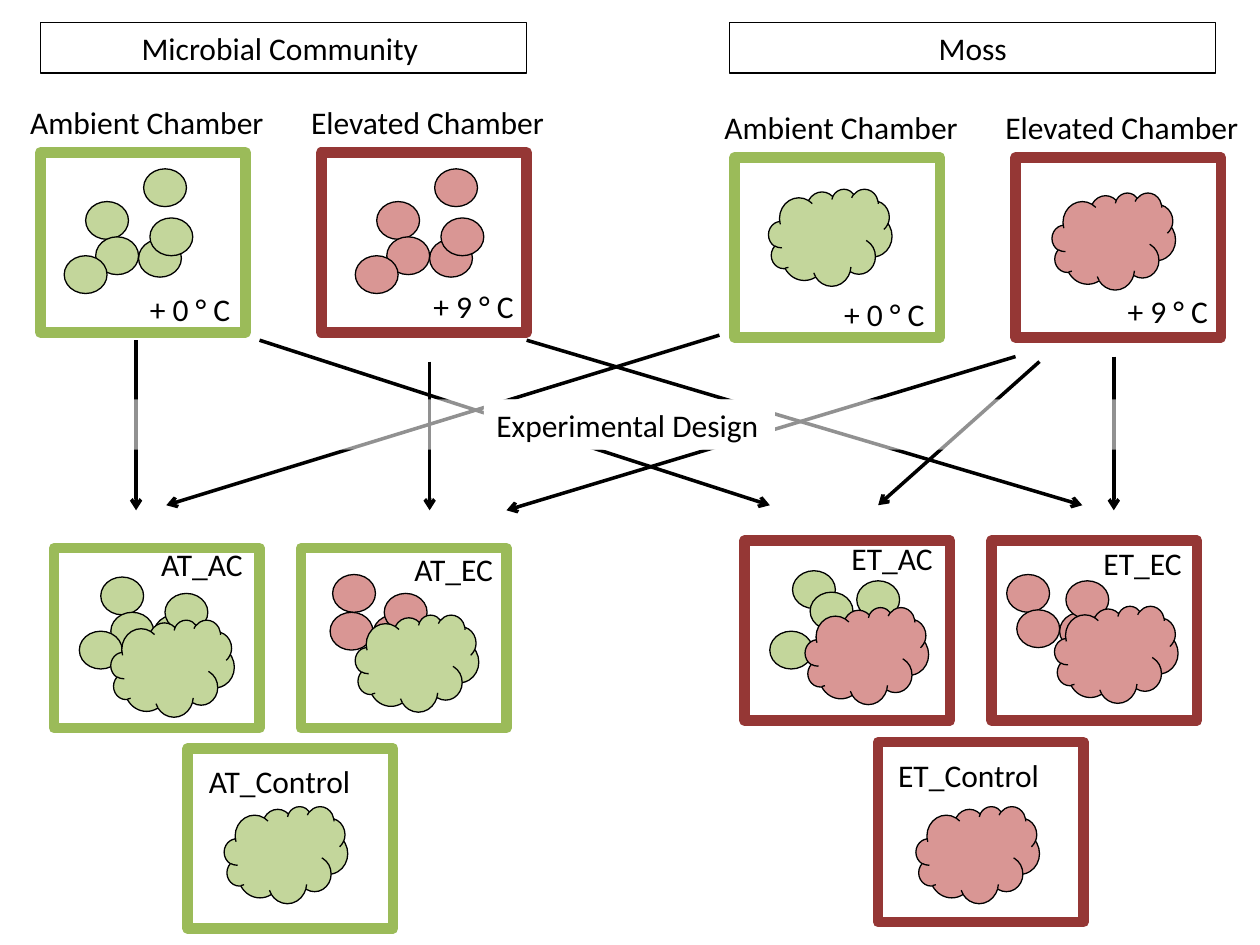
"""Build a slide on the moss and microbe transplant design."""
from lxml import etree
from pptx import Presentation
from pptx import util as u
from pptx.dml import color
from pptx.enum import shapes, text
from pptx.oxml import ns

HUES = {"green": "9BBB59", "red": "953735", "lime": "C3D69B",
        "rose": "D99694", "black": "000000", "white": "FFFFFF"}
KIND = shapes.MSO_SHAPE


def draw(kind, x, y, w, h, fill=None, line=None, width=0.75):
    item = board.add_shape(kind, *map(u.Inches, (x, y, w, h)))
    item.shadow.inherit = False
    for part, hue in ((item.fill, fill), (item.line.fill, line)):
        if hue:
            part.solid()
            part.fore_color.rgb = color.RGBColor.from_string(HUES[hue])
        else:
            part.background()
    if line:
        item.line.width = u.Pt(width)
    return item


def write(words, x, y, w, item=None):
    box = item or board.add_textbox(*map(u.Inches, (x, y, w, 0.4)))
    frame = box.text_frame
    frame.word_wrap = item is not None
    frame.auto_size = text.MSO_AUTO_SIZE.SHAPE_TO_FIT_TEXT
    frame.text = words
    para = frame.paragraphs[0]
    para.alignment = text.PP_ALIGN.CENTER if item else text.PP_ALIGN.LEFT
    para.font.size = u.Pt(18)
    para.font.name = "Calibri"
    para.font.color.rgb = color.RGBColor.from_string(HUES["black"])
    return box


deck = Presentation()
deck.slide_width, deck.slide_height = u.Inches(10), u.Inches(7.5)
board = deck.slides.add_slide(deck.slide_layouts[6]).shapes

for title, x in (("Microbial Community ", 0.32), ("Moss", 5.79)):
    write(title, x, 0.18, 3.86, draw(KIND.RECTANGLE, x, 0.18, 3.86, 0.4, line="black"))

for left, top in ((0.32, 1.21), (5.83, 1.25)):
    for name, heat, hue, x, dx, dy in (
            ("Ambient Chamber", "+ 0 ° C", "green", left, 0.77, 1.04),
            ("Elevated Chamber", "+ 9 ° C", "red", left + 2.23, 0.79, 1.02)):
        draw(KIND.RECTANGLE, x, top, 1.63, 1.43, line=hue, width=6)
        write(name, x - 0.18, top - 0.44, 2.08)
        write(heat, x + dx, top + dy, 0.85)

plots = [
    ("AT_AC", "green", 0.43, 4.35, 1.18, 4.28, 0.89),
    ("AT_EC", "green", 2.39, 4.35, 3.19, 4.32, 0.86),
    ("AT_Control", "green", 1.49, 5.94, 1.56, 6, 1.36),
    ("ET_AC", "red", 5.91, 4.29, 6.66, 4.23, 0.86),
    ("ET_EC", "red", 7.87, 4.29, 8.66, 4.27, 0.83),
    ("ET_Control", "red", 6.97, 5.89, 7.03, 5.95, 1.34),
]
for name, hue, x, y, tx, ty, w in plots:
    draw(KIND.RECTANGLE, x, y, 1.63, 1.43, line=hue, width=6)
    write(name, tx, ty, w)

clump = [(0.17, 0.26), (0.59, 0.56), (0.25, 0.54),
         (0.68, 0.39), (0, 0.69), (0.63, 0)]
groups = [
    ("lime", 0.51, 1.34, clump),
    ("rose", 2.82, 1.34, clump),
    ("lime", 0.63, 4.32, clump[:5]),
    ("rose", 2.62, 4.56, [(0.34, 0.32), (0, 0.3), (0.43, 0.15), (0.02, 0)]),
    ("lime", 6.11, 4.53, [(0.18, 0), (0.6, 0.35), (0.32, 0.17), (0.69, 0.08), (0, 0.48)]),
    ("rose", 7.99, 4.56, [(0, 0), (0.42, 0.3), (0.08, 0.28), (0.47, 0.05)]),
]
for hue, x, y, spots in groups:
    for dx, dy in spots:
        draw(KIND.OVAL, x + dx, y + dy, 0.34, 0.3, hue, "black")

mosses = {
    "lime": [(6.1, 1.5), (0.88, 4.92), (2.82, 4.88), (1.78, 6.4)],
    "rose": [(8.35, 1.53), (6.39, 4.82), (8.37, 4.81), (7.27, 6.4)],
}
for hue, spots in mosses.items():
    for x, y in spots:
        draw(KIND.CLOUD, x, y, 0.98, 0.77, hue, "black")

routes = [
    (1.08, 2.7, 1.08, 4.05), (5.71, 2.66, 1.32, 4.01),
    (3.41, 2.87, 3.41, 4.05), (8.06, 2.83, 4.02, 4.05),
    (2.06, 2.7, 6.11, 4.01), (8.25, 2.87, 6.97, 4.01),
    (4.18, 2.7, 8.59, 4.01), (8.84, 2.83, 8.84, 4.05),
]
for ends in routes:
    arrow = board.add_connector(shapes.MSO_CONNECTOR.STRAIGHT, *map(u.Inches, ends))
    arrow.line.width = u.Pt(2)
    arrow.line.color.rgb = color.RGBColor.from_string(HUES["black"])
    etree.SubElement(arrow.line._get_or_add_ln(), ns.qn("a:tailEnd"), type="arrow")
    etree.SubElement(arrow._element.spPr, ns.qn("a:effectLst"))

band = draw(KIND.RECTANGLE, 0.76, 3.17, 8.56, 0.4, "white")
tint = band._element.spPr.find(".//" + ns.qn("a:srgbClr"))
etree.SubElement(tint, ns.qn("a:alpha"), val="57000")

label = write("Experimental Design", 3.84, 3.17, 2.31)
label.fill.solid()
label.fill.fore_color.rgb = color.RGBColor.from_string(HUES["white"])

deck.save("out.pptx")
